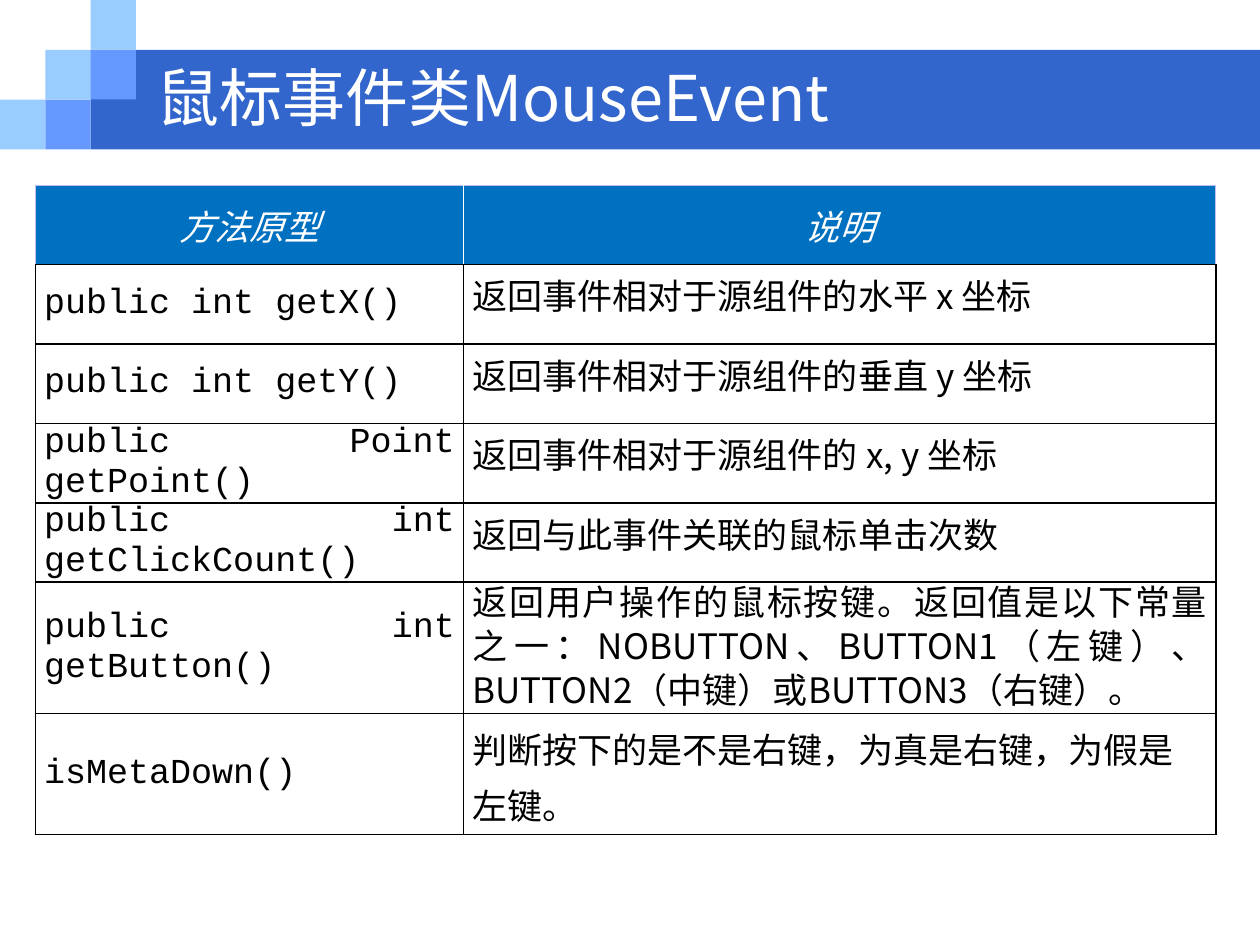
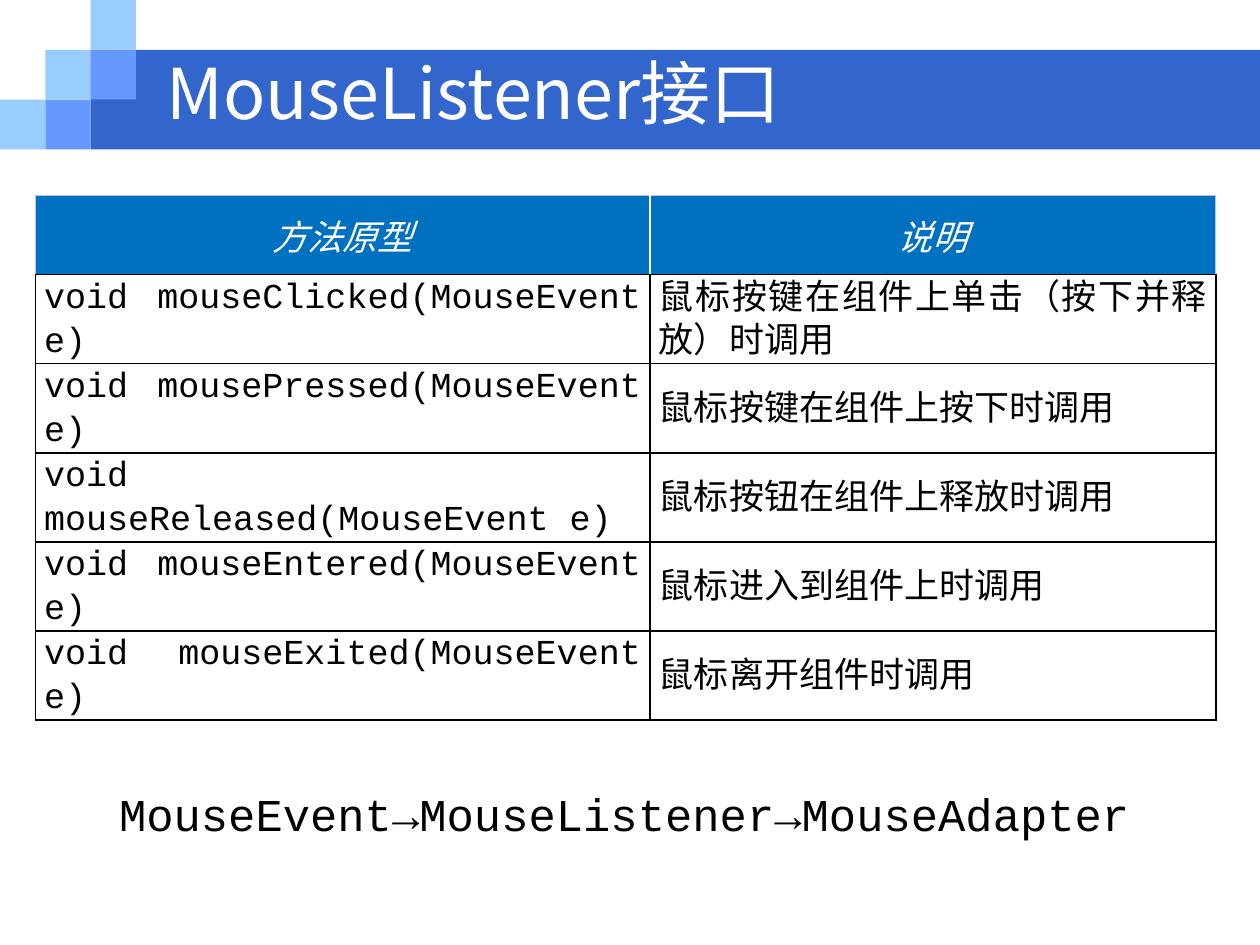
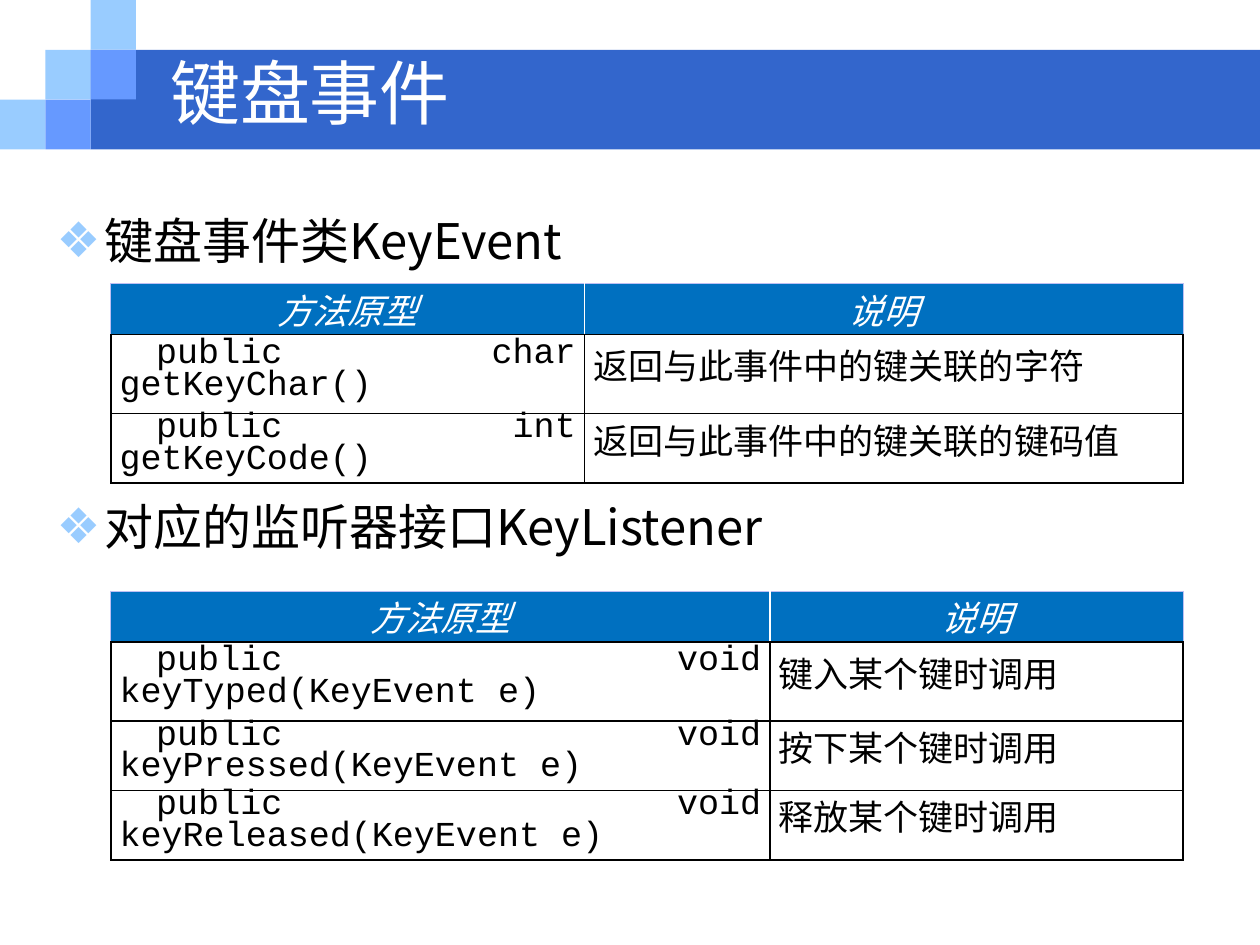
"""Build three slides on mouse and keyboard events."""
from dataclasses import dataclass

from lxml import etree
from pptx import Presentation
from pptx.dml.color import RGBColor
from pptx.enum.shapes import MSO_SHAPE
from pptx.enum.text import MSO_ANCHOR, MSO_AUTO_SIZE, PP_ALIGN
from pptx.oxml.ns import qn
from pptx.util import Inches, Pt

RECTANGLE = MSO_SHAPE.RECTANGLE
MIDDLE, TOP = MSO_ANCHOR.MIDDLE, MSO_ANCHOR.TOP
NO_FIT = MSO_AUTO_SIZE.NONE
LEFT, CENTER, JUSTIFY = PP_ALIGN.LEFT, PP_ALIGN.CENTER, PP_ALIGN.JUSTIFY

WHITE, BLACK = "FFFFFF", "000000"
BAND, LIGHT, MEDIUM = "3366CC", "99CCFF", "6699FF"
HEADER, HEADER_EDGE = "0070C0", "BDBFF3"
SANS, MONO = "Noto Sans CJK SC", "Courier New"
COLUMNS, ROWS = 100, 75
TILE_WIDTH, TILE_HEIGHT = 3.6, 3.95
TITLE_ONLY, TITLE_AND_BODY = 5, 1
EXACT, LOOSE = Pt(18), Pt(25)


@dataclass(frozen=True)
class Frame:
    """A rectangle in columns and rows of the slide grid."""

    left: float
    top: float
    width: float
    height: float

    def lengths(self) -> tuple:
        """Return the four sides as slide lengths."""
        return tuple(grid(value) for value in (self.left, self.top, self.width, self.height))


@dataclass(frozen=True)
class Tile:
    """A rectangle of the header pattern, counted in tiles."""

    column: int
    row: int
    color: str
    wide: float = 1
    high: int = 1


@dataclass(frozen=True)
class Method:
    """One table row: a method and what it does."""

    prototype: str
    meaning: str
    height: float
    spacing: object = EXACT
    align: object = JUSTIFY


@dataclass(frozen=True)
class MethodTable:
    """A table of methods with its place and column widths."""

    left: float
    top: float
    widths: tuple
    header_height: float
    methods: tuple
    code_spacing: object = None
    code_indent: float = 0


TILES = (
    Tile(2, 1, BAND, COLUMNS / TILE_WIDTH - 2, 2),
    Tile(0, 2, LIGHT),
    Tile(1, 1, LIGHT),
    Tile(2, 0, LIGHT),
    Tile(2, 1, MEDIUM),
    Tile(1, 2, MEDIUM),
)

MOUSE_EVENT = MethodTable(2.8, 14.7, (34, 59.7), 6.3, (
    Method("public int getX()", "返回事件相对于源组件的水平 x 坐标", 6.3),
    Method("public int getY()", "返回事件相对于源组件的垂直 y 坐标", 6.3),
    Method("public Point getPoint()", "返回事件相对于源组件的 x, y 坐标", 6.3),
    Method("public int getClickCount()", "返回与此事件关联的鼠标单击次数", 6.3),
    Method("public int getButton()",
           "返回用户操作的鼠标按键。返回值是以下常量之一：NOBUTTON、BUTTON1（左键）、"
           "BUTTON2（中键）或BUTTON3（右键）。", 9.6, LOOSE),
    Method("isMetaDown()", "判断按下的是不是右键，为真是右键，为假是左键。", 9.6, 1.1, LEFT),
))

MOUSE_LISTENER = MethodTable(2.8, 15.5, (48.8, 44.9), 6.3, tuple(
    Method(f"void mouse{action}(MouseEvent e)", meaning, 7.07, LOOSE)
    for action, meaning in (
        ("Clicked", "鼠标按键在组件上单击（按下并释放）时调用"),
        ("Pressed", "鼠标按键在组件上按下时调用"),
        ("Released", "鼠标按钮在组件上释放时调用"),
        ("Entered", "鼠标进入到组件上时调用"),
        ("Exited", "鼠标离开组件时调用"),
    )
), LOOSE)

KEY_EVENT = MethodTable(8.8, 22.5, (37.6, 47.5), 4, (
    Method("public char getKeyChar()", "返回与此事件中的键关联的字符", 6.3),
    Method("public int getKeyCode()", "返回与此事件中的键关联的键码值", 5.5),
), EXACT, 2.9)

KEY_LISTENER = MethodTable(8.8, 46.9, (52.3, 32.8), 4, (
    Method("public void keyTyped(KeyEvent e)", "键入某个键时调用", 6.3),
    Method("public void keyPressed(KeyEvent e)", "按下某个键时调用", 5.5),
    Method("public void keyReleased(KeyEvent e)", "释放某个键时调用", 5.5),
), EXACT, 2.9)


def grid(cells: float) -> int:
    """Return the length of a number of grid cells."""
    return Inches(cells / 10)


def rgb(color: str) -> RGBColor:
    """Return the colour for a hex string."""
    return RGBColor.from_string(color)


def write(para, text: str, *, size: float, color: str = BLACK, font: str = SANS,
          italic: bool = False, align=LEFT, spacing=None, before: float = 0,
          margin: float = 0, indent: float = 0, bullet: str = "") -> None:
    """Put formatted text into a paragraph."""
    properties = para._p.get_or_add_pPr()
    properties.set("marL", str(grid(margin)))
    properties.set("indent", str(grid(indent)))
    if bullet:
        tint = etree.SubElement(properties, qn("a:buClr"))
        etree.SubElement(tint, qn("a:srgbClr"), val=LIGHT)
        etree.SubElement(properties, qn("a:buChar"), char=bullet)
    para.alignment = align
    para.space_before = Pt(before)
    if spacing is not None:
        para.line_spacing = spacing
    span = para.add_run()
    span.text = text
    span.font.size = Pt(size)
    span.font.italic = italic
    span.font.color.rgb = rgb(color)
    span.font.name = font
    etree.SubElement(span.font._element, qn("a:ea"), typeface=font)


def place(shape, frame: Frame, anchor):
    """Move a text shape to a frame and return its text frame."""
    shape.left, shape.top, shape.width, shape.height = frame.lengths()
    box = shape.text_frame
    box.word_wrap = True
    box.auto_size = NO_FIT
    box.vertical_anchor = anchor
    return box


def add_titled_page(deck, layout: int, title: str, size: float, frame: Frame):
    """Add a slide with its title in the band."""
    page = deck.slides.add_slide(deck.slide_layouts[layout])
    box = place(page.shapes.title, frame, MIDDLE)
    write(box.paragraphs[0], title, size=size, color=WHITE)
    return page


def move_tiles_to_master(deck, page) -> None:
    """Draw the header pattern and hand it to the slide master."""
    tree = deck.slide_master.element.cSld.spTree
    for position, tile in enumerate(TILES, start=2):
        frame = Frame(tile.column * TILE_WIDTH, tile.row * TILE_HEIGHT,
                      tile.wide * TILE_WIDTH, tile.high * TILE_HEIGHT)
        shape = page.shapes.add_shape(RECTANGLE, *frame.lengths())
        shape.shadow.inherit = False
        shape.fill.solid()
        shape.fill.fore_color.rgb = rgb(tile.color)
        shape.line.fill.background()
        tree.insert(position, shape.element)


def set_borders(cell, **edges: tuple) -> None:
    """Draw the cell borders; each edge is a colour and a width."""
    properties = cell._tc.get_or_add_tcPr()
    for position, side in enumerate("LRTB"):
        color, width = edges.get(side, (BLACK, 1))
        line = etree.Element(qn(f"a:ln{side}"), w=str(Pt(width)))
        fill = etree.SubElement(line, qn("a:solidFill"))
        etree.SubElement(fill, qn("a:srgbClr"), val=color)
        properties.insert(position, line)


def fill_cell(cell, text: str, fill: str, **style) -> None:
    """Set the text, margins and fill of a table cell."""
    cell.margin_left = cell.margin_right = grid(0.7)
    cell.margin_top = cell.margin_bottom = 0
    cell.vertical_anchor = MIDDLE
    cell.fill.solid()
    cell.fill.fore_color.rgb = rgb(fill)
    write(cell.text_frame.paragraphs[0], text, size=20, **style)


def add_method_table(page, plan: MethodTable) -> None:
    """Add a table of methods to a slide."""
    heights = [plan.header_height] + [method.height for method in plan.methods]
    frame = Frame(plan.left, plan.top, sum(plan.widths), sum(heights))
    table = page.shapes.add_table(len(heights), len(plan.widths), *frame.lengths()).table
    table.first_row = table.horz_banding = False
    for column, width in zip(table.columns, plan.widths):
        column.width = grid(width)
    for row, height in zip(table.rows, heights):
        row.height = grid(height)
    outer, inner = (HEADER_EDGE, 0.5), (WHITE, 1)
    for index, (label, left, right) in enumerate(
            (("方法原型", outer, inner), ("说明", inner, outer))):
        cell = table.cell(0, index)
        fill_cell(cell, label, HEADER, color=WHITE, italic=True, align=CENTER)
        set_borders(cell, L=left, R=right, T=outer)
    for index, method in enumerate(plan.methods, start=1):
        code, meaning = table.cell(index, 0), table.cell(index, 1)
        fill_cell(code, method.prototype, WHITE, font=MONO, align=JUSTIFY,
                  spacing=plan.code_spacing, indent=plan.code_indent)
        fill_cell(meaning, method.meaning, WHITE, align=method.align, spacing=method.spacing)
        set_borders(code)
        set_borders(meaning)


def build_mouse_event(deck) -> None:
    """Build the slide on the mouse event class."""
    page = add_titled_page(deck, TITLE_ONLY, "鼠标事件类MouseEvent", 36,
                           Frame(11.4, 5, 78.4, 5.3))
    move_tiles_to_master(deck, page)
    add_method_table(page, MOUSE_EVENT)


def build_mouse_listener(deck) -> None:
    """Build the slide on the mouse listener interface."""
    page = add_titled_page(deck, TITLE_ONLY, "MouseListener接口", 40,
                           Frame(12.2, 2.9, 87.8, 8.7))
    frame = Frame(4.3, 61.9, 90.6, 5.4)
    box = place(page.shapes.add_textbox(*frame.lengths()), frame, TOP)
    write(box.paragraphs[0], "MouseEvent→MouseListener→MouseAdapter",
          size=26, font=MONO, align=CENTER)
    add_method_table(page, MOUSE_LISTENER)


def build_key_events(deck) -> None:
    """Build the slide on keyboard events."""
    page = add_titled_page(deck, TITLE_AND_BODY, "键盘事件", 40, Frame(12.5, 4.6, 80.8, 5.3))
    box = place(page.placeholders[1], Frame(3.5, 13.9, 91.4, 32.3), TOP)
    topics = (("键盘事件类KeyEvent", 0), ("对应的监听器接口KeyListener", 113))
    for index, (topic, before) in enumerate(topics):
        para = box.add_paragraph() if index else box.paragraphs[0]
        write(para, topic, size=28, align=JUSTIFY, spacing=1.5, before=before,
              margin=3.8, indent=-3.8, bullet="❖")
    add_method_table(page, KEY_EVENT)
    add_method_table(page, KEY_LISTENER)


def main() -> None:
    """Build and save the deck."""
    deck = Presentation()
    deck.slide_width, deck.slide_height = grid(COLUMNS), grid(ROWS)
    build_mouse_event(deck)
    build_mouse_listener(deck)
    build_key_events(deck)
    deck.save("out.pptx")


if __name__ == "__main__":
    main()
